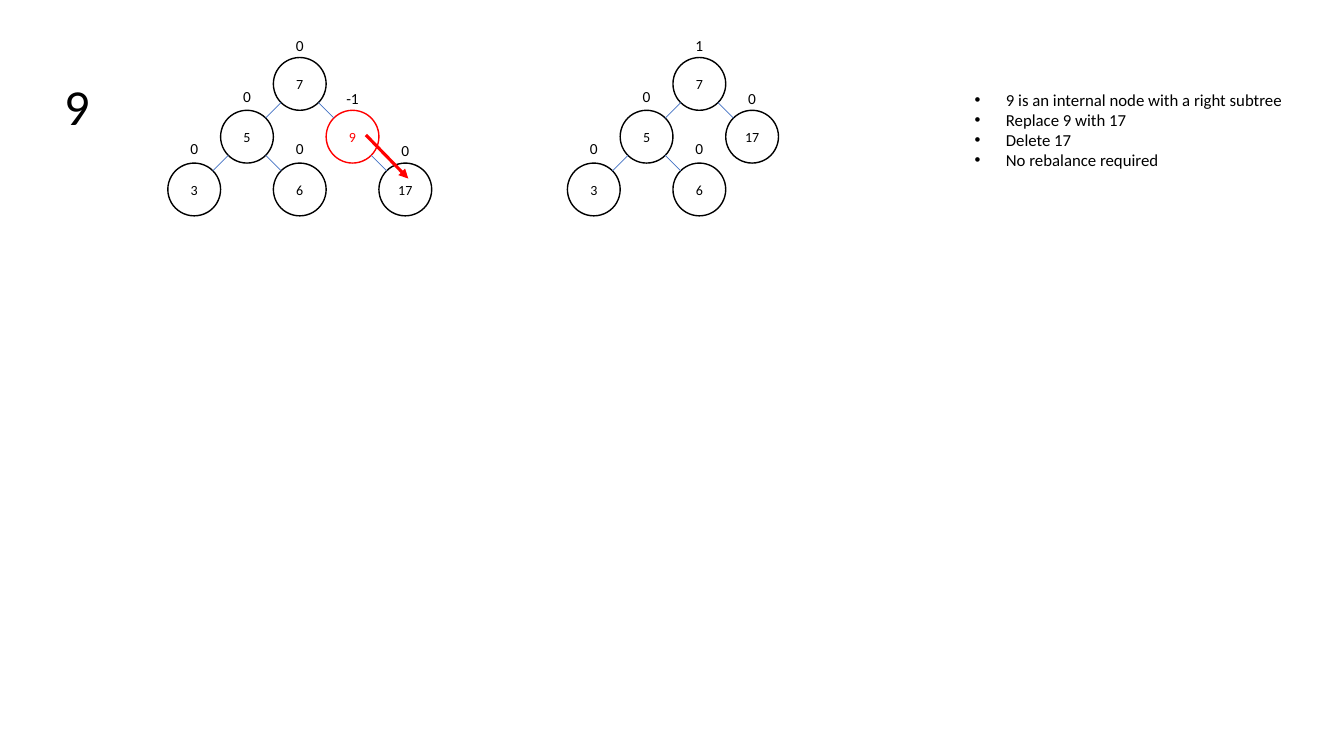
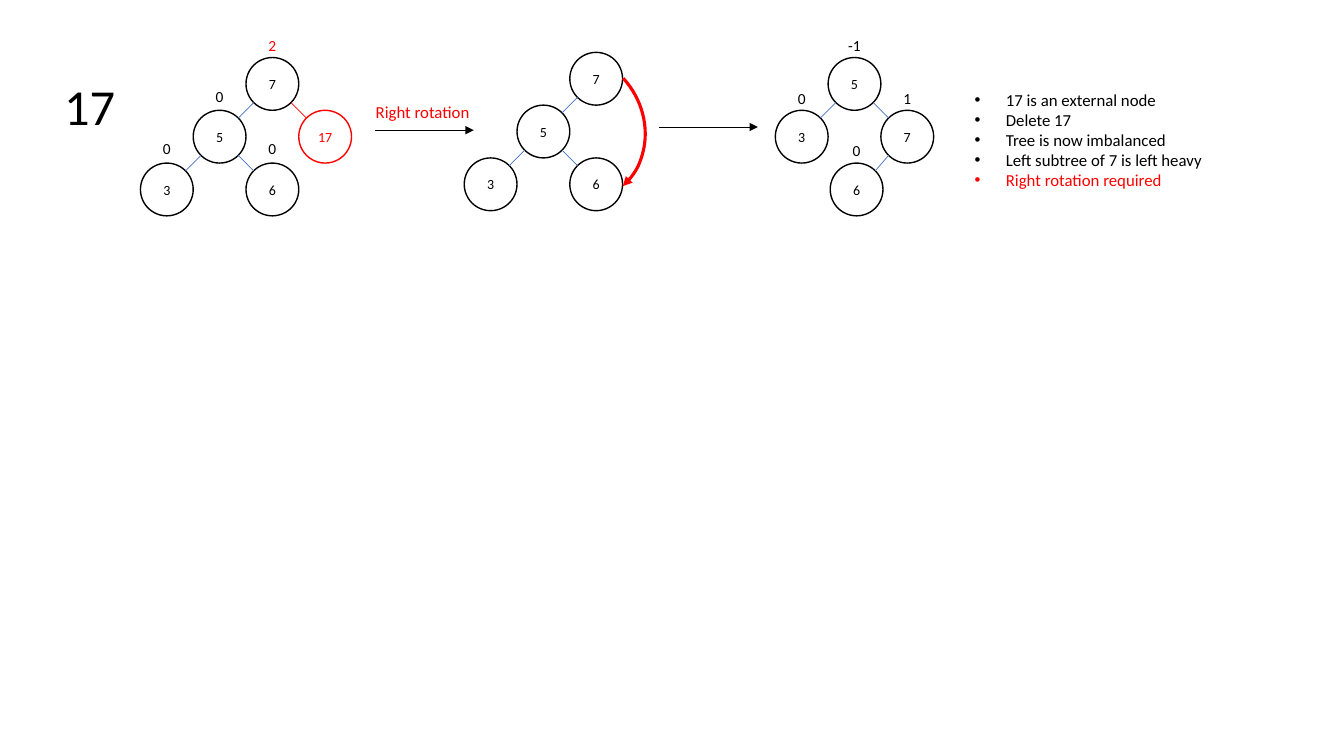
from dataclasses import dataclass
from math import copysign, sqrt

from lxml import etree
from pptx import Presentation
from pptx.dml.color import RGBColor
from pptx.enum.shapes import MSO_CONNECTOR, MSO_SHAPE
from pptx.enum.text import MSO_ANCHOR, PP_ALIGN
from pptx.oxml.ns import qn
from pptx.util import Cm, Pt

# Shared style
BLACK = RGBColor(0x00, 0x00, 0x00)
RED = RGBColor(0xFF, 0x00, 0x00)
BLUE = RGBColor(0x44, 0x72, 0xC4)
FONT = "Calibri"
STRAIGHT = MSO_CONNECTOR.STRAIGHT
CIRCLE, ARC = MSO_SHAPE.OVAL, MSO_SHAPE.ARC
LEFT, CENTER = PP_ALIGN.LEFT, PP_ALIGN.CENTER
TOP, MIDDLE = MSO_ANCHOR.TOP, MSO_ANCHOR.MIDDLE

# Lengths in centimetres
CELL = 1.33  # node diameter, also the grid step
LABEL_WIDTH, LABEL_HEIGHT = 1.2, 0.74
LOW, HIGH = 0.67, 0.72  # rise of a balance label above its node
ROOT_TOP = 1.45


@dataclass
class Node:
    key: str
    column: float
    row: int
    parent: str = ""
    balance: str = ""
    rise: float = LOW
    color: RGBColor = BLACK
    balance_color: RGBColor = BLACK
    edge_color: RGBColor = BLUE


def write(frame, text, size=12, color=BLACK, align=LEFT, anchor=TOP, wrap=False):
    """Fill a text frame with a single formatted paragraph."""
    frame.word_wrap = wrap
    frame.vertical_anchor = anchor
    add_span(frame.paragraphs[0], text, size, color)
    frame.paragraphs[0].alignment = align


def add_span(para, text, size, color):
    span = para.add_run()
    span.text = text
    span.font.name = FONT
    span.font.size = Pt(size)
    span.font.color.rgb = color


def add_text(page, left, top, width, height, text, **style):
    box = page.shapes.add_textbox(Cm(left), Cm(top), Cm(width), Cm(height))
    write(box.text_frame, text, **style)


def style_line(shape, color, weight, arrow=False):
    shape.line.color.rgb = color
    shape.line.width = Pt(weight)
    if arrow:
        outline = shape._element.spPr.find(qn("a:ln"))
        etree.SubElement(outline, qn("a:tailEnd"), type="triangle")


def add_line(page, start, end, color=BLACK, weight=0.5, arrow=False):
    line = page.shapes.add_connector(
        STRAIGHT, *(Cm(value) for value in (*start, *end)))
    style_line(line, color, weight, arrow)
    etree.SubElement(line._element.spPr, qn("a:effectLst"))


def add_outline(page, kind, left, top, width, height, color, weight, arrow=False):
    shape = page.shapes.add_shape(kind, Cm(left), Cm(top), Cm(width), Cm(height))
    shape.fill.background()
    style_line(shape, color, weight, arrow)
    shape.shadow.inherit = False
    return shape


def draw_edge(page, parent, child, color):
    """Join two node centres at the diagonal points of their circles."""
    reach = CELL / 2 / sqrt(2)
    shift = copysign(reach, child[0] - parent[0])
    add_line(page, (parent[0] + shift, parent[1] + reach),
             (child[0] - shift, child[1] - reach), color)


def draw_tree(page, left, top, nodes):
    """Draw a tree whose root circle has its box at left, top."""
    centers = {node.key: (left + (node.column + 0.5) * CELL,
                          top + (node.row + 0.5) * CELL) for node in nodes}
    for node in nodes:
        x, y = centers[node.key]
        node_top = y - CELL / 2
        circle = add_outline(page, CIRCLE, x - CELL / 2, node_top, CELL, CELL,
                             node.color, 1)
        frame = circle.text_frame
        frame.margin_left = frame.margin_right = Cm(0)
        write(frame, node.key, size=10, color=node.color, align=CENTER,
              anchor=MIDDLE)
        if node.parent:
            draw_edge(page, centers[node.parent], (x, y), node.edge_color)
        if node.balance:
            add_text(page, x - LABEL_WIDTH / 2, node_top - node.rise,
                     LABEL_WIDTH, LABEL_HEIGHT, node.balance, size=11,
                     color=node.balance_color, align=CENTER)


def left_heavy(balance="", balance_color=BLACK, leaf_balance="0"):
    """Root 7 with its left subtree 5, 3, 6."""
    return [
        Node("7", 0, 0, "", balance, balance_color=balance_color),
        Node("5", -1, 1, "7", leaf_balance, HIGH),
        Node("3", -2, 2, "5", leaf_balance, HIGH),
        Node("6", 0, 2, "5", leaf_balance, HIGH),
    ]


def draw_notes(page, left, top, width, height, notes):
    """Bulleted list of (text, colour) pairs."""
    box = page.shapes.add_textbox(Cm(left), Cm(top), Cm(width), Cm(height))
    frame = box.text_frame
    frame.word_wrap = True
    for index, (text, color) in enumerate(notes):
        para = frame.add_paragraph() if index else frame.paragraphs[0]
        properties = para._p.get_or_add_pPr()
        properties.set("marL", str(Cm(0.79)))
        properties.set("indent", str(-Cm(0.79)))
        etree.SubElement(properties, qn("a:buFont"), typeface="Arial")
        etree.SubElement(properties, qn("a:buChar"), char="•")
        add_span(para, text, 12, color)


def add_page(deck, title, notes):
    page = deck.slides.add_slide(deck.slide_layouts[6])
    add_text(page, 1.37, 1.78, 4.32, 1.8, title, size=36, wrap=True)
    draw_notes(page, 24.31, 2.13, 8.5, 2.8, notes)
    return page


def build_delete_nine(deck):
    page = add_page(deck, "9", [
        ("9 is an internal node with a right subtree", BLACK),
        ("Replace 9 with 17", BLACK),
        ("Delete 17", BLACK),
        ("No rebalance required", BLACK),
    ])
    # Before and after the deletion
    draw_tree(page, 6.89, ROOT_TOP, left_heavy("0") + [
        Node("9", 1, 1, "7", "-1", color=RED),
        Node("17", 2, 2, "9", "0"),
    ])
    draw_tree(page, 16.96, ROOT_TOP, left_heavy("1") + [Node("17", 1, 1, "7", "0")])
    # Pointer to the replacement
    add_line(page, (9.22, 3.4), (10.29, 4.5), RED, 2.25, arrow=True)


def build_delete_seventeen(deck):
    page = add_page(deck, "17", [
        ("17 is an external node", BLACK),
        ("Delete 17", BLACK),
        ("Tree is now imbalanced", BLACK),
        ("Left subtree of 7 is left heavy", BLACK),
        ("Right rotation required", RED),
    ])
    # Deletion, rotation and result
    draw_tree(page, 6.2, ROOT_TOP, left_heavy("2", RED) + [
        Node("17", 1, 1, "7", color=RED, edge_color=RED),
    ])
    draw_tree(page, 14.36, 1.32, left_heavy(leaf_balance=""))
    draw_tree(page, 20.87, ROOT_TOP, [
        Node("5", 0, 0, "", "-1"),
        Node("3", -1, 1, "5", "0"),
        Node("7", 1, 1, "5", "1"),
        Node("6", 0.04, 2, "7", "0"),
    ])
    # Rotation arc
    arc = add_outline(page, ARC, 12.34, 1.37, 4.01, 3.68, RED, 2.25, arrow=True)
    arc.rotation = 47.7
    # Step arrows
    add_text(page, 9.22, 2.44, 2.9, 0.76, "Right rotation", color=RED)
    for left, y in ((9.45, 3.28), (16.61, 3.2)):
        add_line(page, (left, y), (left + 2.49, y), arrow=True)


def main():
    deck = Presentation()
    deck.slide_width, deck.slide_height = Cm(33.87), Cm(19.05)
    build_delete_nine(deck)
    build_delete_seventeen(deck)
    deck.save("out.pptx")


if __name__ == "__main__":
    main()
